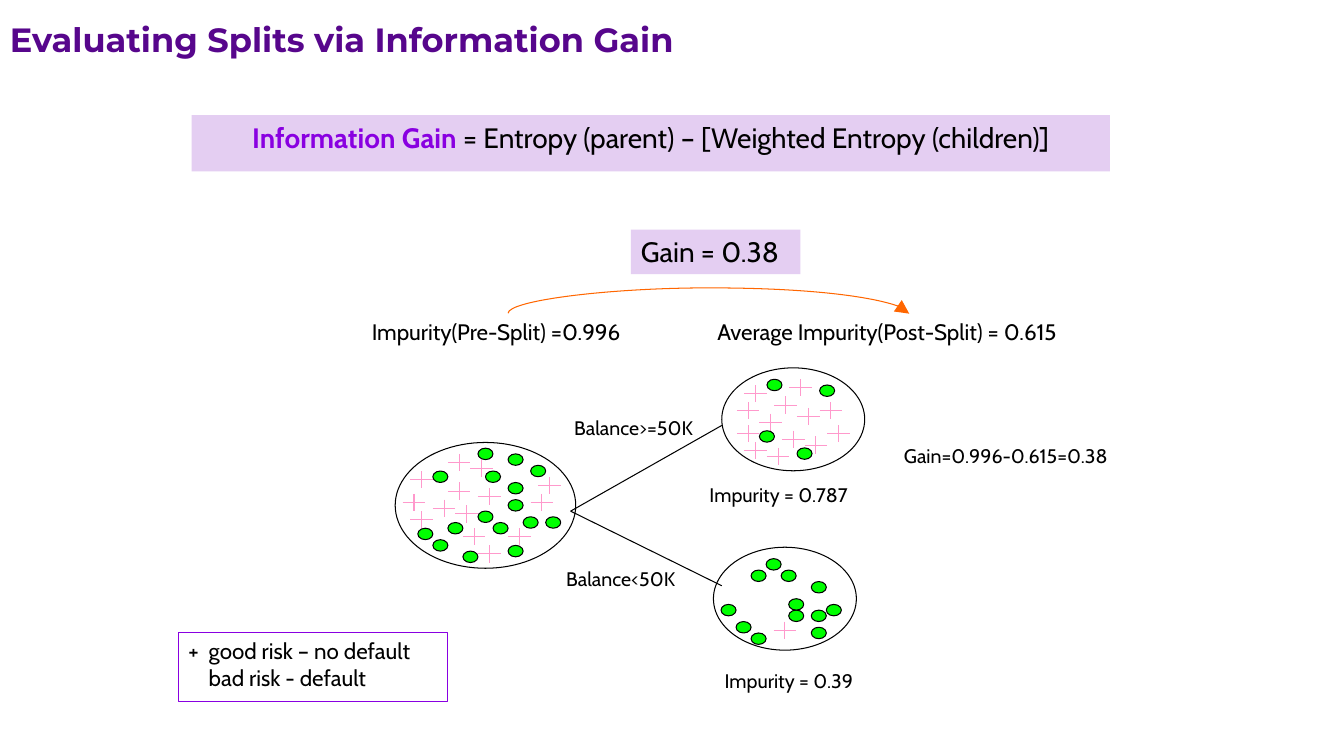
from lxml.etree import SubElement
from pptx import Presentation
from pptx.dml.color import RGBColor
from pptx.enum.shapes import MSO_CONNECTOR as Link, MSO_SHAPE as Preset
from pptx.enum.text import MSO_ANCHOR as Anchor, PP_ALIGN as Align
from pptx.oxml.ns import qn
from pptx.util import Cm, Pt

COLORS = {"title": "57068C", "accent": "8900E1", "panel": "E4CEF2", "text": "000000",
          "outline": "000000", "bad": "00FF00", "good": "FF99CC", "arrow": "FF6600"}
BODY_FONT, TITLE_FONT = "Cabin", "Montserrat"

TITLE = "Evaluating Splits via Information Gain"
FORMULA = [("Information Gain ", "accent", True),
           ("= Entropy (parent) – [Weighted Entropy (children)]", "text", False)]
GAIN = "Gain = 0.38"
LEGEND = ["+\tgood risk – no default", "bad risk - default"]
LEGEND_INDENT = 0.51

# text, size, left, top, width, height
LABELS = [
    ("Impurity(Pre-Split) =0.996", 16, 9.12, 7.9, 7.37, 1.12),
    ("Average Impurity(Post-Split) = 0.615", 16, 17.83, 7.9, 10.16, 1.12),
    ("Gain=0.996-0.615=0.38", 14, 22.53, 11.05, 6.15, 0.81),
    ("Balance<50K", 14, 14.02, 14.17, 3.61, 1.02),
    ("Balance>=50K", 14, 14.22, 10.36, 3.89, 0.86),
    ("Impurity = 0.787", 14, 17.63, 12.04, 7.57, 1.12),
    ("Impurity = 0.39", 14, 18.01, 16.74, 7.16, 1.02),
]

PITCH_X, PITCH_Y = 4.55 / 24, 3.17 / 22
DOT_CELLS, CROSS_CELLS = 2, 3
CLUSTERS = [
    {"origin": (9.96, 11.15), "cells": (24, 22),
     "good": [(10, 3), (8, 11), (5, 10), (7, 7), (2, 12), (7, 2), (18, 9), (9, 15),
              (11, 8), (11, 18), (15, 15), (2, 5), (19, 6), (1, 9)],
     "bad": [(11, 12), (20, 13), (15, 18), (3, 15), (5, 17), (17, 13), (5, 5), (15, 10),
             (15, 2), (11, 1), (12, 5), (13, 14), (7, 14), (9, 19), (18, 4), (15, 7)]},
    {"origin": (18.19, 9.27), "cells": (19, 18),
     "good": [(2, 6), (3, 13), (9, 2), (8, 11), (13, 6), (3, 3), (5, 8), (10, 7),
              (6, 14), (14, 10), (2, 10), (11, 12), (7, 5)],
     "bad": [(13, 3), (6, 2), (10, 14), (5, 11)]},
    {"origin": (17.98, 13.79), "cells": (19, 18),
     "good": [(8, 13)],
     "bad": [(7, 2), (13, 11), (10, 11), (5, 4), (13, 14), (13, 6), (1, 10), (3, 13),
             (5, 15), (9, 4), (10, 9), (15, 10)]},
]
BRANCH_START = (14.38, 12.88)
BRANCH_ENDS = [(18.19, 10.72), (18.19, 14.76)]
ARC = {"center": (17.86, 7.9), "span": 10.11, "rise": 0.64, "thickness": 0.01}


def color(name):
    return RGBColor.from_string(COLORS[name])


def style_run(run, size, tone="text", bold=False, font=BODY_FONT):
    run.font.name, run.font.size, run.font.bold = font, Pt(size), bold
    run.font.color.rgb = color(tone)


def add_shape(slide, preset, box, fill=None, line=None):
    shape = slide.shapes.add_shape(preset, *map(Cm, box))
    shape.shadow.inherit = False
    if fill:
        shape.fill.solid()
        shape.fill.fore_color.rgb = color(fill)
    else:
        shape.fill.background()
    if line:
        shape.line.color.rgb = color(line)
        shape.line.width = Pt(0.75)
    else:
        shape.line.fill.background()
    return shape


def write(shape, lines, size, **style):
    text_frame = shape.text_frame
    text_frame.word_wrap = True
    text_frame.vertical_anchor = Anchor.TOP
    text_frame.text = "\n".join(lines)
    for paragraph in text_frame.paragraphs:
        paragraph.alignment = Align.LEFT
        for run in paragraph.runs:
            style_run(run, size, **style)
    return text_frame


def add_line(slide, start, end, tone, kind=Link.STRAIGHT):
    connector = slide.shapes.add_connector(kind, *map(Cm, (*start, *end)))
    connector.line.color.rgb = color(tone)
    connector.line.width = Pt(0.75)
    SubElement(connector._element.spPr, qn("a:effectLst"))
    return connector


def add_arc(slide):
    (x, y), half, thin = ARC["center"], ARC["span"] / 2, ARC["thickness"] / 2
    arc = add_line(slide, (x + thin, y - half), (x - thin, y + half), "arrow", Link.CURVE)
    properties = arc._element.spPr
    properties.find(qn("a:xfrm")).set("rot", str(270 * 60000))
    adjustments = properties.find(qn("a:prstGeom")).find(qn("a:avLst"))
    bend = round(-ARC["rise"] / ARC["thickness"] * 100000)
    SubElement(adjustments, qn("a:gd"), name="adj1", fmla=f"val {bend}")
    SubElement(arc.line._get_or_add_ln(), qn("a:tailEnd"), type="triangle", w="lg", len="lg")


def add_cluster(slide, cluster):
    left, top = cluster["origin"]

    def place(column, row):
        return left + column * PITCH_X, top + row * PITCH_Y

    columns, rows = cluster["cells"]
    add_shape(slide, Preset.OVAL, (left, top, columns * PITCH_X, rows * PITCH_Y), line="outline")
    middle = CROSS_CELLS / 2
    for column, row in cluster["good"]:
        add_line(slide, place(column, row + middle), place(column + CROSS_CELLS, row + middle), "good")
        add_line(slide, place(column + middle, row), place(column + middle, row + CROSS_CELLS), "good")
    for cell in cluster["bad"]:
        box = (*place(*cell), DOT_CELLS * PITCH_X, DOT_CELLS * PITCH_Y)
        add_shape(slide, Preset.OVAL, box, "bad", "outline")


def main():
    """Build the information gain slide."""
    presentation = Presentation()
    presentation.slide_width, presentation.slide_height = Cm(33.87), Cm(19.05)
    slide = presentation.slides.add_slide(presentation.slide_layouts[6])

    title = slide.shapes.add_textbox(*map(Cm, (0, 0.1, 29.21, 1.88)))
    title_frame = write(title, [TITLE], 24, tone="title", bold=True, font=TITLE_FONT)
    title_frame.vertical_anchor = Anchor.MIDDLE
    title_frame.paragraphs[0].line_spacing = 0.9

    formula = add_shape(slide, Preset.RECTANGLE, (4.83, 2.9, 23.14, 1.42), "panel")
    formula.text_frame.vertical_anchor = Anchor.TOP
    paragraph = formula.text_frame.paragraphs[0]
    paragraph.alignment = Align.CENTER
    for text, tone, bold in FORMULA:
        run = paragraph.add_run()
        run.text = text
        style_run(run, 20, tone, bold)

    for text, size, *box in LABELS:
        write(slide.shapes.add_textbox(*map(Cm, box)), [text], size)
    for end in BRANCH_ENDS:
        add_line(slide, BRANCH_START, end, "outline")
    for cluster in CLUSTERS:
        add_cluster(slide, cluster)
    add_arc(slide)

    legend = add_shape(slide, Preset.RECTANGLE, (4.5, 15.93, 6.78, 1.75), line="accent")
    legend_frame = write(legend, LEGEND, 16)
    for paragraph, hanging in zip(legend_frame.paragraphs, (LEGEND_INDENT, 0)):
        properties = paragraph._p.get_or_add_pPr()
        properties.set("marL", str(Cm(LEGEND_INDENT)))
        properties.set("indent", str(-Cm(hanging)))

    gain = add_shape(slide, Preset.RECTANGLE, (15.9, 5.79, 4.27, 1.12), "panel")
    write(gain, [GAIN], 20)
    presentation.save("out.pptx")


if __name__ == "__main__":
    main()
